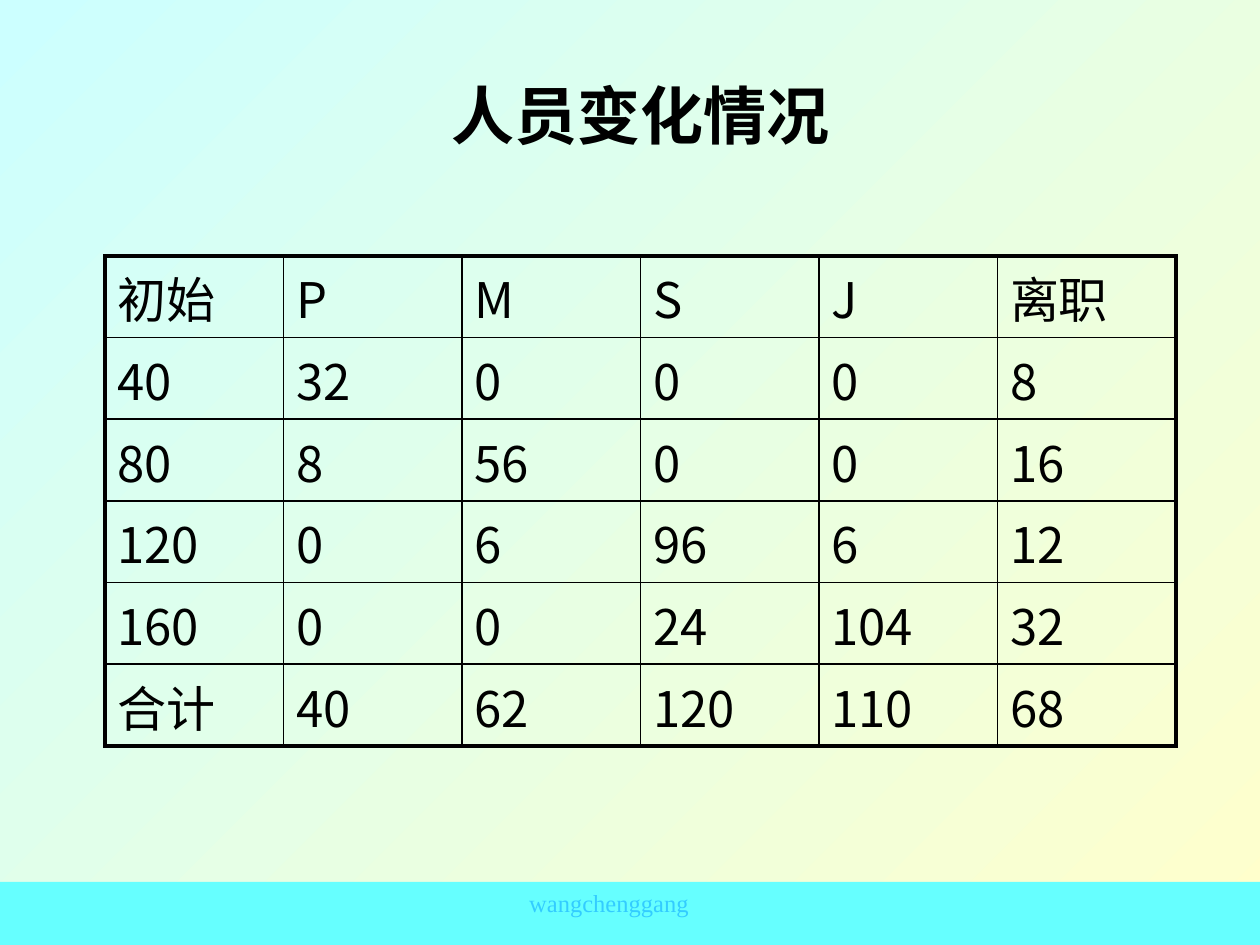
from dataclasses import dataclass

from lxml import etree
from pptx import Presentation
from pptx.dml.color import RGBColor
from pptx.enum.shapes import MSO_SHAPE
from pptx.enum.text import MSO_ANCHOR, PP_ALIGN
from pptx.oxml.ns import qn
from pptx.util import Pt

RECT = MSO_SHAPE.RECTANGLE
CENTER, JUSTIFY = PP_ALIGN.CENTER, PP_ALIGN.JUSTIFY
MIDDLE, TOP = MSO_ANCHOR.MIDDLE, MSO_ANCHOR.TOP

ROWS = [
    ["初始", "P", "M", "S", "J", "离职"],
    ["40", "32", "0", "0", "0", "8"],
    ["80", "8", "56", "0", "0", "16"],
    ["120", "0", "6", "96", "6", "12"],
    ["160", "0", "0", "24", "104", "32"],
    ["合计", "40", "62", "120", "110", "68"],
]


@dataclass(frozen=True)
class Theme:
    ink: str = "000000"
    bar: str = "66FFFF"
    footer: str = "33CCFF"
    background: tuple = ("CCFFFF", "FFFFCC")
    serif: str = "Times New Roman"
    sans: str = "Noto Sans CJK SC"
    title_size: float = 36
    cell_size: float = 28
    footer_size: float = 14
    outer_line: float = 2.25
    inner_line: float = 1


class SlideBuilder:
    def __init__(self, slide, theme):
        self.s = slide
        self.theme = theme

    def background(self):
        fill = self.s.background.fill
        fill.gradient()
        fill.gradient_angle = 315
        for stop, color in zip(fill.gradient_stops, self.theme.background):
            stop.color.rgb = RGBColor.from_string(color)

    def run(self, p, text, size, color, font, bold=False):
        r = p.add_run()
        r.text = text
        r.font.size = Pt(size)
        r.font.bold = bold
        r.font.name = font
        r.font.color.rgb = RGBColor.from_string(color)
        ea = etree.SubElement(r.font._element, qn("a:ea"))
        ea.set("typeface", self.theme.sans)

    def title(self, text, x, y, w, h):
        sp = self.s.shapes.title
        sp.left, sp.top, sp.width, sp.height = Pt(x), Pt(y), Pt(w), Pt(h)
        tf = sp.text_frame
        tf.vertical_anchor = MIDDLE
        p = tf.paragraphs[0]
        p.alignment = CENTER
        self.run(p, text, self.theme.title_size, self.theme.ink, self.theme.serif, True)

    def bar(self, x, y, w, h):
        sp = self.s.shapes.add_shape(RECT, Pt(x), Pt(y), Pt(w), Pt(h))
        sp.shadow.inherit = False
        sp.fill.solid()
        sp.fill.fore_color.rgb = RGBColor.from_string(self.theme.bar)
        sp.line.fill.background()

    def footer(self, text, x, y, w, h):
        tf = self.s.shapes.add_textbox(Pt(x), Pt(y), Pt(w), Pt(h)).text_frame
        tf.word_wrap = True
        tf.vertical_anchor = TOP
        p = tf.paragraphs[0]
        p.alignment = CENTER
        self.run(p, text, self.theme.footer_size, self.theme.footer, self.theme.serif)

    def border(self, cell, side, width):
        ln = etree.SubElement(cell._tc.get_or_add_tcPr(), qn(f"a:ln{side}"))
        ln.set("w", str(Pt(width)))
        fill = etree.SubElement(ln, qn("a:solidFill"))
        etree.SubElement(fill, qn("a:srgbClr")).set("val", self.theme.ink)

    def space_before(self, p, percent):
        spacing = etree.Element(qn("a:spcBef"))
        etree.SubElement(spacing, qn("a:spcPct")).set("val", str(percent * 1000))
        p._p.get_or_add_pPr().insert(0, spacing)

    def cell(self, cell, text, outer):
        for side in "LRTB":
            width = self.theme.outer_line if side in outer else self.theme.inner_line
            self.border(cell, side, width)
        cell.fill.background()
        p = cell.text_frame.paragraphs[0]
        p.alignment = JUSTIFY
        self.space_before(p, 20)
        self.run(p, text, self.theme.cell_size, self.theme.ink, self.theme.sans)

    def table(self, rows, x, y, w, h):
        n_rows, n_cols = len(rows), len(rows[0])
        frame = self.s.shapes.add_table(n_rows, n_cols, Pt(x), Pt(y), Pt(w), Pt(h))
        table = frame.table
        table.first_row = table.horz_banding = False
        for i, row in enumerate(rows):
            for j, text in enumerate(row):
                edges = {"L": j == 0, "R": j == n_cols - 1, "T": i == 0, "B": i == n_rows - 1}
                outer = [side for side, on_edge in edges.items() if on_edge]
                self.cell(table.cell(i, j), text, outer)


def main():
    prs = Presentation()
    prs.slide_width, prs.slide_height = Pt(720), Pt(540)
    slide = SlideBuilder(prs.slides.add_slide(prs.slide_layouts[5]), Theme())
    slide.background()
    slide.bar(0, 504, 720, 36)
    slide.footer("wangchenggang", 234, 504, 228, 24)
    slide.title("人员变化情况", 42.5, 0, 646.5, 131)
    slide.table(ROWS, 60, 146.25, 612, 280)
    prs.save("out.pptx")


if __name__ == "__main__":
    main()
